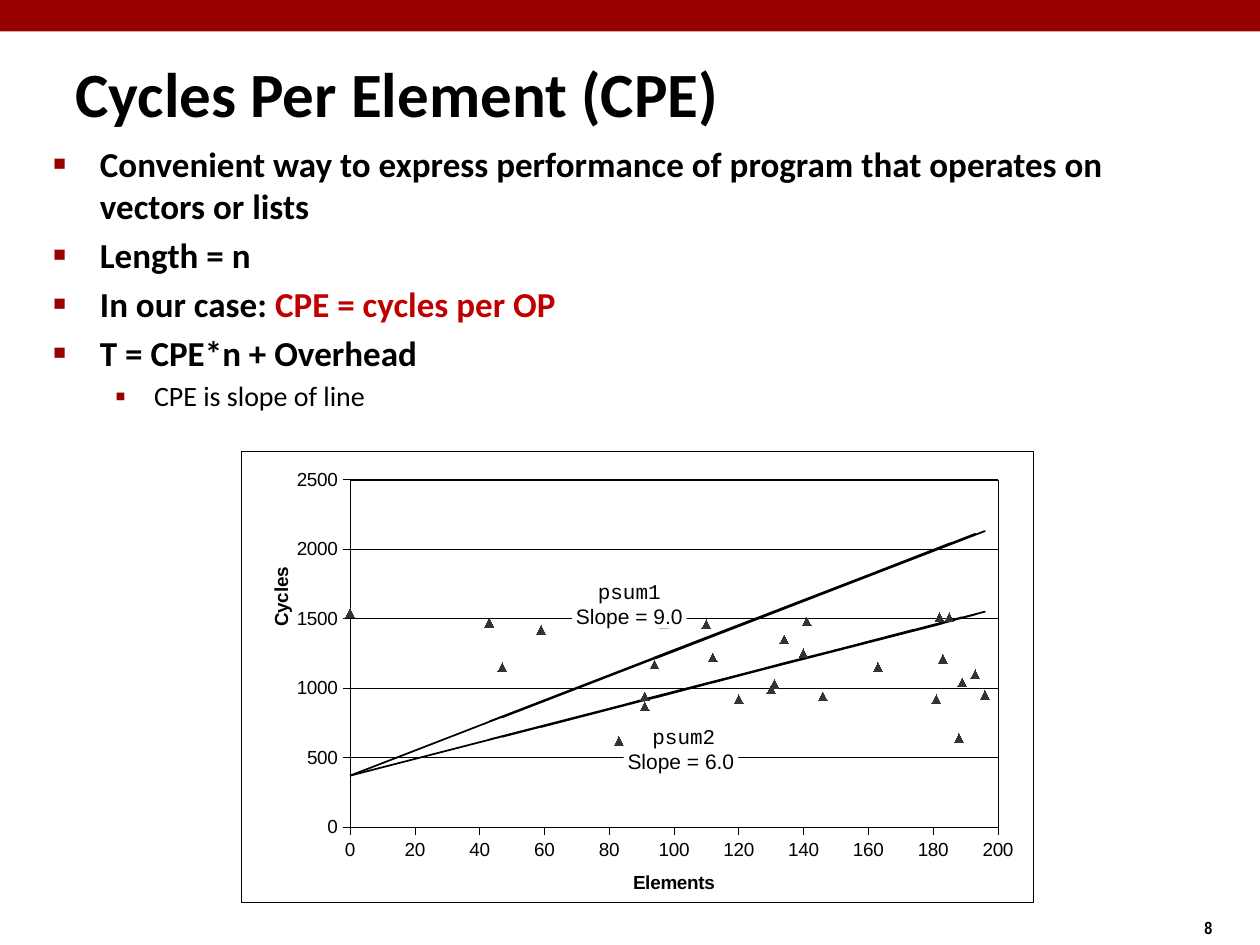
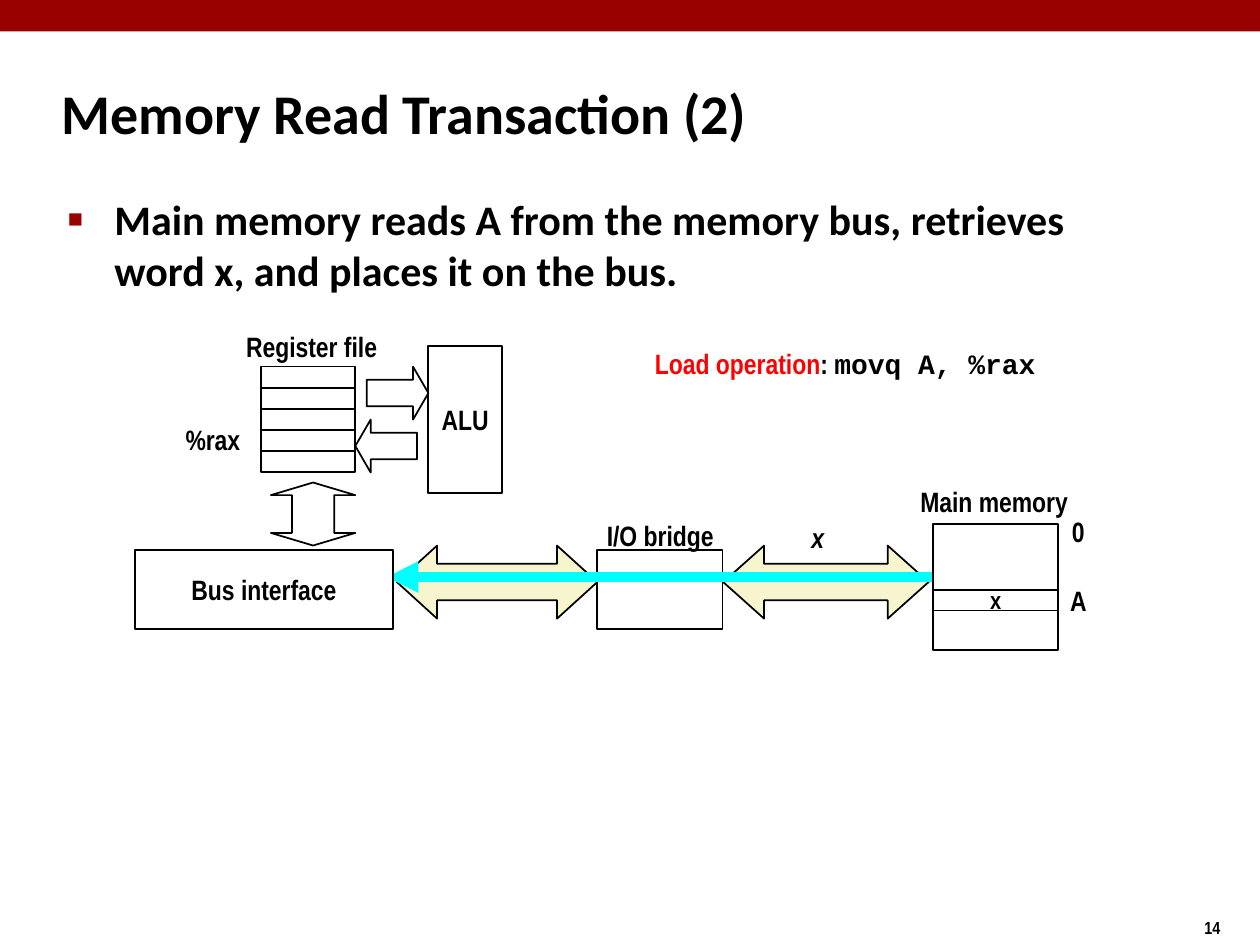
from dataclasses import dataclass
from typing import NamedTuple

from lxml import etree
from pptx import Presentation
from pptx.chart.data import XyChartData
from pptx.dml.color import RGBColor
from pptx.enum.chart import XL_CHART_TYPE, XL_MARKER_STYLE, XL_TICK_MARK
from pptx.enum.shapes import MSO_CONNECTOR, MSO_SHAPE
from pptx.enum.text import MSO_ANCHOR, MSO_AUTO_SIZE, PP_ALIGN
from pptx.oxml import parse_xml
from pptx.oxml.ns import nsdecls, qn
from pptx.util import Inches, Pt

WIDTH, HEIGHT = Inches(10), Inches(7.5)
COLUMN, ROW = WIDTH // 100, HEIGHT // 75
RECTANGLE, STRAIGHT = MSO_SHAPE.RECTANGLE, MSO_CONNECTOR.STRAIGHT
RIGHT_ARROW, LEFT_ARROW = MSO_SHAPE.RIGHT_ARROW, MSO_SHAPE.LEFT_ARROW
WIDE_ARROW, TALL_ARROW = MSO_SHAPE.LEFT_RIGHT_ARROW, MSO_SHAPE.UP_DOWN_ARROW
SCATTER = XL_CHART_TYPE.XY_SCATTER
NO_MARKER, DIAMOND, TRIANGLE = XL_MARKER_STYLE.NONE, XL_MARKER_STYLE.DIAMOND, XL_MARKER_STYLE.TRIANGLE
TICK_OUTSIDE, TICK_NONE = XL_TICK_MARK.OUTSIDE, XL_TICK_MARK.NONE
LEFT, CENTER = PP_ALIGN.LEFT, PP_ALIGN.CENTER
TOP, MIDDLE = MSO_ANCHOR.TOP, MSO_ANCHOR.MIDDLE
FIT_SHAPE, FIT_NONE = MSO_AUTO_SIZE.SHAPE_TO_FIT_TEXT, MSO_AUTO_SIZE.NONE

COLORS = {"band": "990000", "text": "000000", "emphasis": "C00000", "operation": "FF0000",
          "paper": "FFFFFF", "bus": "F7F5CD", "signal": "00FFFF", "marker": "333333"}
HEADING, LABEL, PLAIN, CODE = "Calibri", "Arial Narrow", "Arial", "Courier New"
ELEMENTS = [0, 193, 120, 91, 95, 196, 97, 181, 91, 83, 43, 183, 140, 146, 94,
            134, 163, 131, 110, 182, 189, 112, 141, 185, 188, 47, 130, 102, 59, 174]
CYCLES = {
    "Series 1": [None] * len(ELEMENTS),
    "Series 2": [370, 2110, 1450, 1190, 1220, 2130, 1240, 2000, 1190, 1120, 760, 2020, 1630, 1680, 1220,
                 1580, 1840, 1550, 1360, 2010, 2070, 1380, 1640, 2040, 2060, 790, 1540, 1290, 900, 1940],
    "Series 3": [1540, 1100, 920, 940, 1550, 950, 1460, 920, 870, 620, 1470, 1210, 1250, 940, 1170,
                 1350, 1150, 1030, 1460, 1510, 1040, 1220, 1480, 1510, 640, 1150, 990, 730, 1420, None],
    "Series 4": [370, 1530, 1090, 920, 940, 1550, 950, 1460, 920, 870, 630, 1470, 1210, 1250, 930,
                 1180, 1350, 1160, 1030, 1460, 1510, 1040, 1220, 1480, 1500, 650, 1150, 980, 720, 1420],
}
MARKERS = {"Series 1": DIAMOND, "Series 3": TRIANGLE}

@dataclass(frozen=True)
class Box:
    """A place on the slide in grid columns and rows."""
    left: float
    top: float
    width: float
    height: float

    def lengths(self) -> tuple:
        """Return left, top, width and height as lengths."""
        return (round(self.left * COLUMN), round(self.top * ROW),
                round(self.width * COLUMN), round(self.height * ROW))

class Run(NamedTuple):
    """Text with the colour and font that set it apart."""
    text: str
    color: str = "text"
    font: str = ""

class BulletStyle(NamedTuple):
    """The sign, sign size, text margin and hanging indent of a level."""
    sign: str
    percent: int
    margin: float
    indent: float

class Label(NamedTuple):
    """A diagram label."""
    text: str
    box: Box
    align: int = CENTER
    italic: bool = False

class Arrow(NamedTuple):
    """A block arrow of the diagram."""
    kind: int
    box: Box
    head: float
    fill: str = ""

BULLET_STYLES = [BulletStyle("■", 60, 3.8, -3.7), BulletStyle("▪", 110, 8.1, -3.1)]

def rgb(name: str) -> RGBColor:
    """Look up a colour."""
    return RGBColor.from_string(COLORS[name])

def draw_line(line, width: float, color: str = "text") -> None:
    """Set the width and colour of a line."""
    line.color.rgb, line.width = rgb(color), Pt(width)

def write_text(paragraph, runs, *, size: float, font: str = LABEL, bold: bool = True,
               italic: bool = False, align: int = LEFT) -> None:
    """Write runs, or one plain string, in a paragraph."""
    paragraph.alignment = align
    for part in [Run(runs)] if isinstance(runs, str) else runs:
        run = paragraph.add_run()
        run.text = part.text
        run.font.size, run.font.name = Pt(size), part.font or font
        run.font.bold, run.font.italic = bold, italic
        run.font.color.rgb = rgb(part.color)

def frame_of(shape, *, anchor: int = MIDDLE, wrap: bool = False, fit: int = FIT_NONE):
    """Set up the text frame of a shape and return it."""
    frame = shape.text_frame
    frame.word_wrap, frame.auto_size, frame.vertical_anchor = wrap, fit, anchor
    return frame

def add_text(slide, box: Box, runs, *, anchor: int = MIDDLE, wrap: bool = False,
             fit: int = FIT_SHAPE, **style) -> None:
    """Add a text box of one paragraph."""
    frame = frame_of(slide.shapes.add_textbox(*box.lengths()), anchor=anchor, wrap=wrap, fit=fit)
    write_text(frame.paragraphs[0], runs, **style)

def add_block(slide, kind: int, box: Box, *, fill: str = "", outlined: bool = True):
    """Add a preset shape with a thin outline."""
    shape = slide.shapes.add_shape(kind, *box.lengths())
    shape.shadow.inherit = False
    if fill:
        shape.fill.solid()
        shape.fill.fore_color.rgb = rgb(fill)
    else:
        shape.fill.background()
    if outlined:
        draw_line(shape.line, 1)
    else:
        shape.line.fill.background()
    return shape

def add_bullets(slide, box: Box, bullets: list, sizes: list) -> None:
    """Add the body text from pairs of level and runs, with a size for each level."""
    frame = frame_of(slide.shapes.add_textbox(*box.lengths()), anchor=TOP, wrap=True)
    for index, (level, runs) in enumerate(bullets):
        paragraph = frame.add_paragraph() if index else frame.paragraphs[0]
        size, style = sizes[level], BULLET_STYLES[level]
        write_text(paragraph, runs, size=size, font=HEADING, bold=level == 0)
        paragraph.level, paragraph.space_before = level, Pt(size * 0.2)
        properties = paragraph._p.get_or_add_pPr()
        properties.set("marL", str(round(style.margin * COLUMN)))
        properties.set("indent", str(round(style.indent * COLUMN)))
        color = etree.SubElement(properties, qn("a:buClr"))
        etree.SubElement(color, qn("a:srgbClr"), val=COLORS["band"])
        etree.SubElement(properties, qn("a:buSzPct"), val=str(style.percent * 1000))
        etree.SubElement(properties, qn("a:buFont"), typeface=PLAIN)
        etree.SubElement(properties, qn("a:buChar"), char=style.sign)

def add_slide(presentation, title: str, title_box: Box, title_size: int, number: int):
    """Add a slide with the band, title and number that all share."""
    slide = presentation.slides.add_slide(presentation.slide_layouts[6])
    add_block(slide, RECTANGLE, Box(0, 0, 100, 2.5), fill="band", outlined=False)
    add_text(slide, Box(94.6, 72.3, 7.5, 2.7), str(number), size=10, anchor=TOP)
    add_text(slide, title_box, title, size=title_size, font=HEADING, wrap=True, fit=FIT_NONE)
    return slide

def outline_xml(fill: str):
    """Return chart shape properties with a hairline border."""
    return parse_xml(f'<c:spPr {nsdecls("c", "a")}>{fill}<a:ln w="3175"><a:solidFill>'
                     f'<a:srgbClr val="{COLORS["text"]}"/></a:solidFill></a:ln></c:spPr>')

def set_layout(parent, index: int, **settings) -> None:
    """Give a chart part a fixed place as shares of the chart."""
    for layout in parent.findall(qn("c:layout")):
        parent.remove(layout)
    layout = parse_xml(f'<c:layout {nsdecls("c")}><c:manualLayout/></c:layout>')
    for key, value in settings.items():
        etree.SubElement(layout[0], qn(f"c:{key}"), val=str(value))
    parent.insert(index, layout)

def format_axis(axis, title: str, maximum: int, step: int, left: float, top: float) -> None:
    """Scale and colour a chart axis and place its title."""
    axis.minimum_scale, axis.maximum_scale, axis.major_unit = 0, maximum, step
    axis.major_tick_mark, axis.minor_tick_mark = TICK_OUTSIDE, TICK_NONE
    draw_line(axis.format.line, 0.25)
    labels = axis.tick_labels
    labels.font.size, labels.font.name = Pt(10.8), PLAIN
    labels.number_format, labels.number_format_is_linked = "General", False
    write_text(axis.axis_title.text_frame.paragraphs[0], title, size=10.8, font=PLAIN, align=CENTER)
    set_layout(axis.axis_title.element, 1, xMode="edge", yMode="edge", x=left, y=top)

def format_series(series) -> None:
    """Draw a series as a line or as scattered markers."""
    series.marker.style = MARKERS.get(series.name, NO_MARKER)
    if series.name not in MARKERS:
        draw_line(series.format.line, 1)
        return
    series.format.line.fill.background()
    series.marker.size = 5
    series.marker.format.fill.solid()
    series.marker.format.fill.fore_color.rgb = rgb("marker")
    series.marker.format.line.color.rgb = rgb("marker")

def add_cycles_chart(slide, box: Box) -> None:
    """Add the scatter chart of cycles against elements."""
    data = XyChartData()
    for name, cycles in CYCLES.items():
        series = data.add_series(name)
        for element, cycle in zip(ELEMENTS, cycles):
            series.add_data_point(element, cycle)
    chart = slide.shapes.add_chart(SCATTER, *box.lengths(), data).chart
    chart.has_title = chart.has_legend = False
    chart.font.size, chart.font.name, chart.font.color.rgb = Pt(10), PLAIN, rgb("text")
    chart.plots[0].vary_by_categories = False
    for series in chart.plots[0].series:
        format_series(series)
    format_axis(chart.category_axis, "Elements", 200, 20, 0.49, 0.92)
    format_axis(chart.value_axis, "Cycles", 2500, 500, 0.03, 0.25)
    chart.category_axis.has_major_gridlines = False
    draw_line(chart.value_axis.major_gridlines.format.line, 0.25)
    chart.value_axis.axis_title.element.find(".//" + qn("a:bodyPr")).set("rot", "-5400000")
    plot_area = chart.element.find(".//" + qn("c:plotArea"))
    set_layout(plot_area, 0, layoutTarget="inner", xMode="edge", yMode="edge",
               x=0.137, y=0.063, w=0.818, h=0.77)
    plot_area.append(outline_xml("<a:noFill/>"))
    paper = f'<a:solidFill><a:srgbClr val="{COLORS["paper"]}"/></a:solidFill>'
    chart.element.find(qn("c:chart")).addnext(outline_xml(paper))

def add_slope_label(slide, box: Box, function: list, slope: str) -> None:
    """Add the name and slope of a line in the chart."""
    shape = add_block(slide, RECTANGLE, box, fill="paper", outlined=False)
    frame = frame_of(shape, anchor=TOP, fit=FIT_SHAPE)
    frame.margin_left = frame.margin_right = frame.margin_top = round(0.3 * COLUMN)
    frame.margin_bottom = 0
    for paragraph, runs in ((frame.paragraphs[0], function), (frame.add_paragraph(), f"Slope = {slope}")):
        write_text(paragraph, runs, size=12, font=PLAIN, bold=False, align=CENTER)

def add_named_block(slide, box: Box, text: str, size: int, fill: str = "") -> None:
    """Add a rectangle with a centred name."""
    frame = frame_of(add_block(slide, RECTANGLE, box, fill=fill))
    write_text(frame.paragraphs[0], text, size=size, align=CENTER)

def add_arrow(slide, arrow: Arrow) -> None:
    """Add a block arrow with a shaft of half its breadth."""
    shape = add_block(slide, arrow.kind, arrow.box, fill=arrow.fill)
    guides = shape.element.find(".//" + qn("a:avLst"))
    guides.clear()
    for name, share in (("adj1", 0.5), ("adj2", arrow.head)):
        etree.SubElement(guides, qn("a:gd"), name=name, fmla=f"val {round(share * 100000)}")

def add_signal(slide, start: float, end: float, row: float) -> None:
    """Add the thick data line with its head at the start."""
    left, top, width, _ = Box(start, row, end - start, 0).lengths()
    connector = slide.shapes.add_connector(STRAIGHT, left, top, left + width, top)
    draw_line(connector.line, 6, "signal")
    properties = connector.element.spPr
    etree.SubElement(properties.find(qn("a:ln")), qn("a:headEnd"), type="triangle")
    etree.SubElement(properties, qn("a:effectLst"))

def build_cpe_slide(presentation) -> None:
    """Build the slide on cycles per element."""
    slide = add_slide(presentation, "Cycles Per Element (CPE)", Box(5, 4.2, 89, 6.3), 36, 8)
    add_bullets(slide, Box(3.15, 10.8, 90.8, 16.6), [
        (0, "Convenient way to express performance of program that operates on vectors or lists"),
        (0, "Length = n"),
        (0, [Run("In our case: "), Run("CPE = cycles per OP", "emphasis")]),
        (0, "T = CPE*n + Overhead"),
        (1, "CPE is slope of line")], [20, 16])
    add_cycles_chart(slide, Box(19.15, 35.8, 62.9, 35.85))
    add_slope_label(slide, Box(45.4, 45.6, 9.1, 4.3), [Run("psum1", font=CODE)], "9.0")
    add_slope_label(slide, Box(49.5, 57.1, 9.1, 4.3), [Run(" "), Run("psum2", font=CODE)], "6.0")

def build_memory_slide(presentation) -> None:
    """Build the slide on the memory read."""
    slide = add_slide(presentation, "Memory Read Transaction (2)", Box(3.9, 4.75, 83, 8.3), 32, 14)
    add_bullets(slide, Box(4.3, 14.9, 86.4, 54.4), [
        (0, "Main memory reads A from the memory bus, retrieves word x, and places it on the bus.")], [24])
    for arrow in (Arrow(WIDE_ARROW, Box(57.4, 43.3, 16.3, 5.8), 0.56, "bus"),
                  Arrow(WIDE_ARROW, Box(31.5, 43.3, 15.9, 5.8), 0.55, "bus"),
                  Arrow(RIGHT_ARROW, Box(29.1, 29.1, 4.9, 4.2), 0.29),
                  Arrow(LEFT_ARROW, Box(28.2, 33.3, 4.9, 4.2), 0.29),
                  Arrow(TALL_ARROW, Box(21.5, 38.3, 6.7, 5), 0.2)):
        add_arrow(slide, arrow)
    registers = [Box(20.7, 29.1 + 1.67 * index, 7.5, 1.67) for index in range(5)]
    for box in (*registers, Box(47.4, 43.65, 9.95, 6.3), Box(74.05, 41.6, 9.95, 10)):
        add_block(slide, RECTANGLE, box)
    add_signal(slide, 30.7, 74, 45.8)
    add_named_block(slide, Box(34, 27.45, 5.85, 11.7), "ALU", 16)
    add_named_block(slide, Box(10.7, 43.65, 20.5, 6.3), "Bus interface", 16, "paper")
    add_named_block(slide, Box(74.05, 46.8, 9.95, 1.65), "x", 14)
    for label in (Label("Register file", Box(18.55, 25.6, 12.4, 3.7), LEFT),
                  Label("x", Box(63.4, 40.8, 3, 3.7), italic=True),
                  Label("0", Box(84.1, 40.3, 3, 3.7), LEFT),
                  Label("A", Box(83.95, 45.8, 3.3, 3.7), LEFT),
                  Label("Main memory", Box(71.7, 37.95, 14.4, 3.7)),
                  Label("%rax", Box(13.4, 33, 7, 3.7)),
                  Label("I/O bridge", Box(47.15, 40.6, 10.5, 3.7))):
        add_text(slide, label.box, label.text, size=16, align=label.align, italic=label.italic)
    add_text(slide, Box(51, 27, 32.25, 6.3), [
        Run("Load operation", "operation"), Run(": "), Run("movq A, %rax", font=CODE)], size=16, anchor=TOP)

def main() -> None:
    """Build and save the presentation."""
    presentation = Presentation()
    presentation.slide_width, presentation.slide_height = WIDTH, HEIGHT
    build_cpe_slide(presentation)
    build_memory_slide(presentation)
    presentation.save("out.pptx")

if __name__ == "__main__":
    main()
